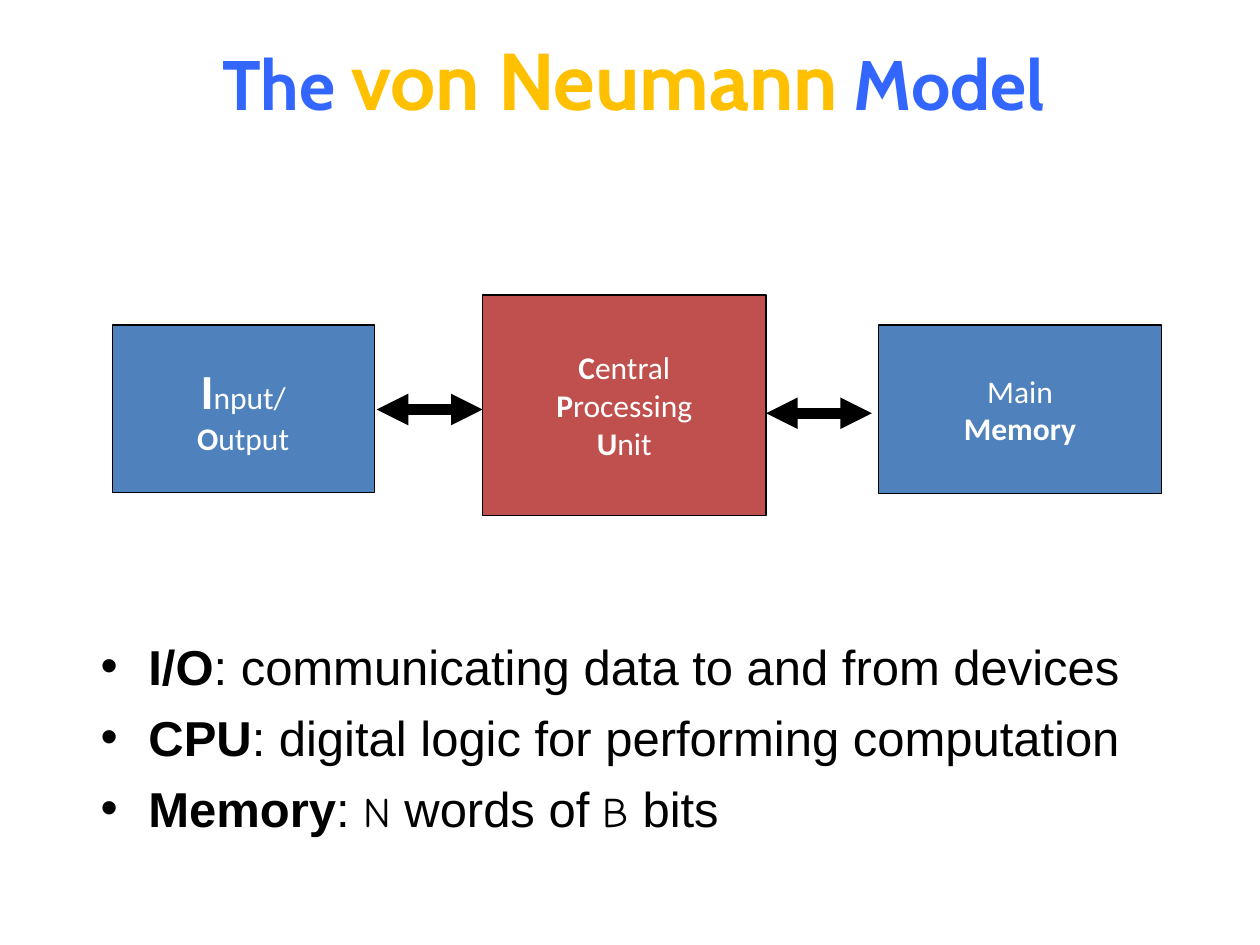
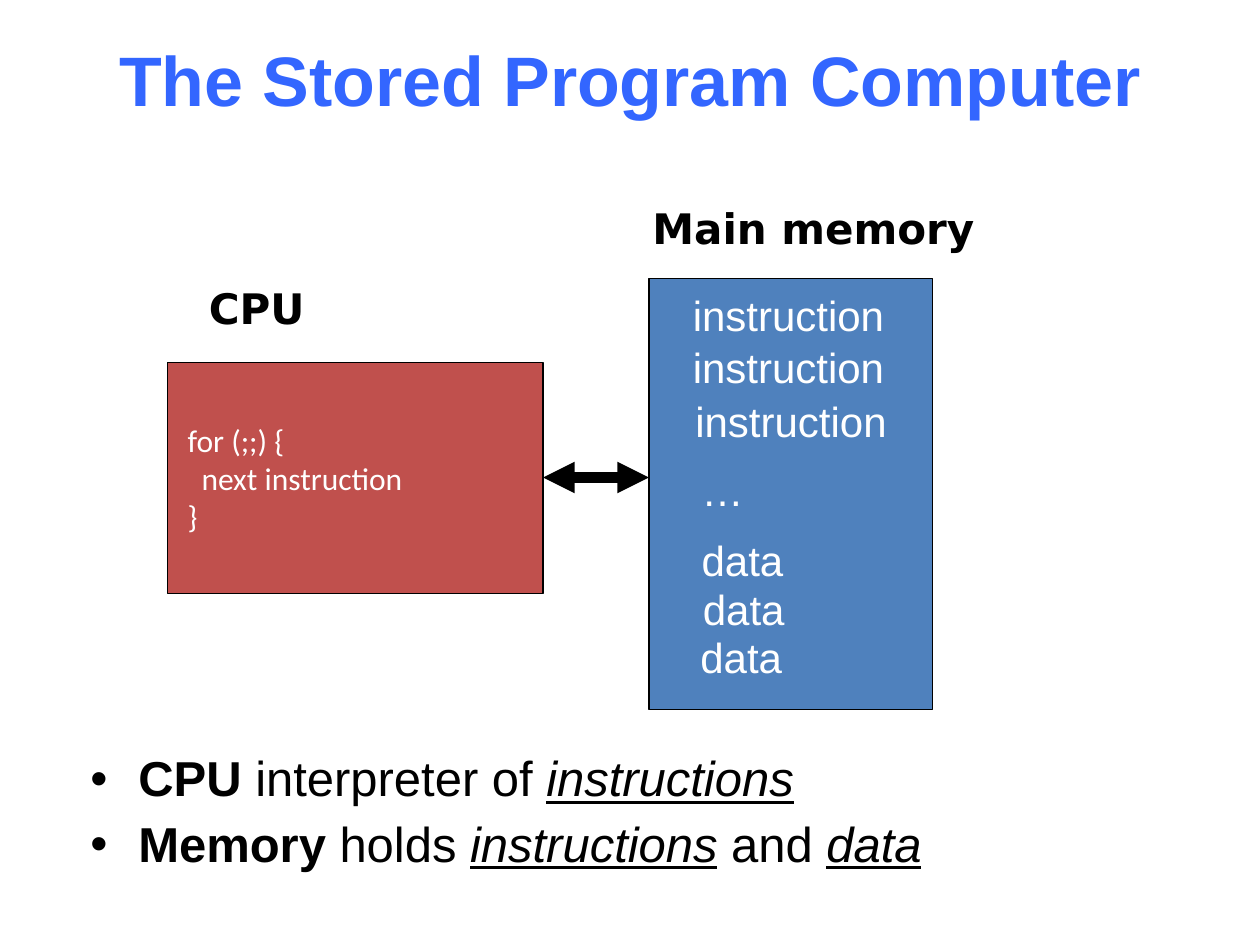
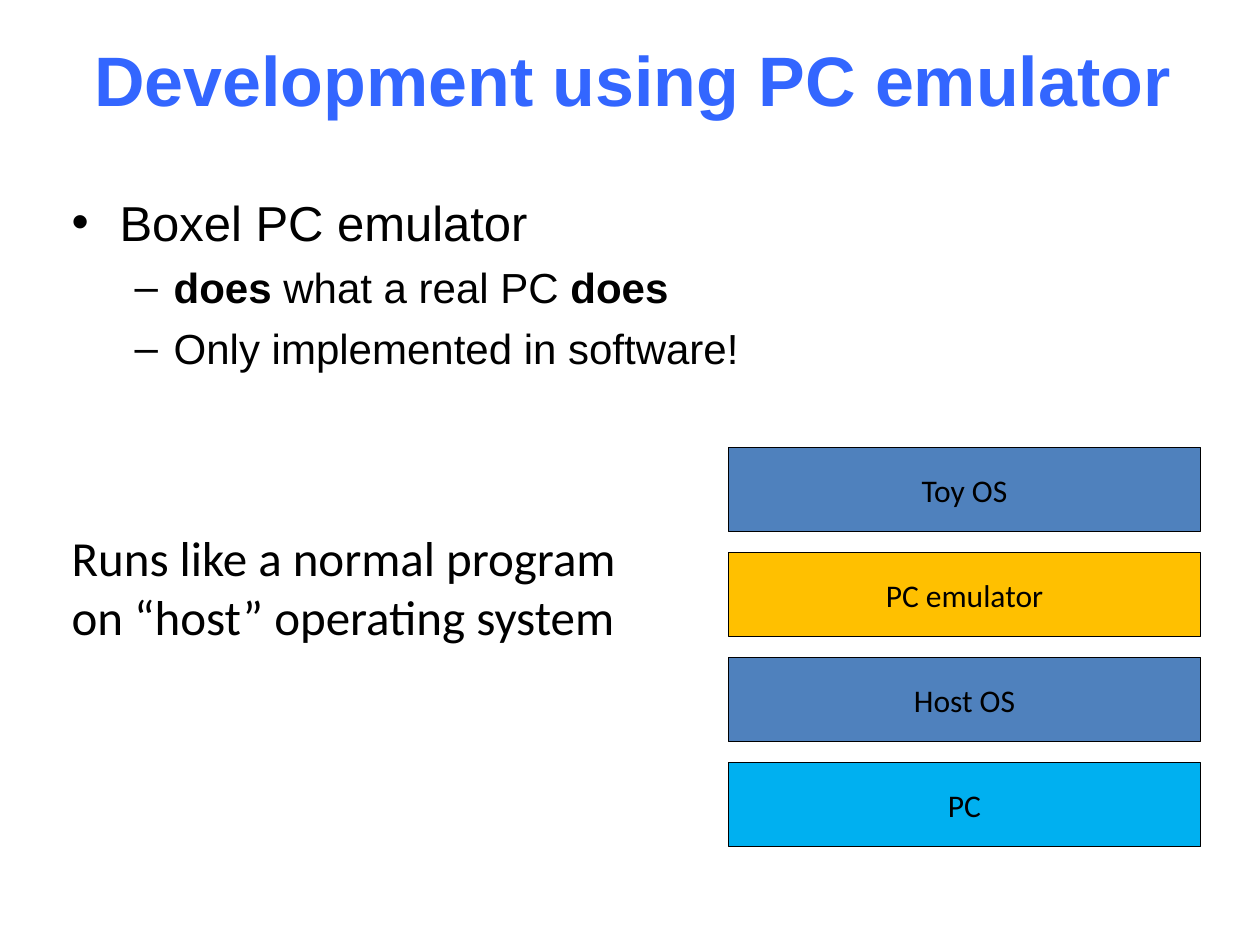
from dataclasses import dataclass

from lxml.etree import SubElement
from pptx import Presentation
from pptx.dml.color import RGBColor
from pptx.enum.shapes import MSO_CONNECTOR, MSO_SHAPE
from pptx.enum.text import MSO_ANCHOR, PP_ALIGN
from pptx.oxml.ns import qn
from pptx.util import Inches, Pt


@dataclass(frozen=True)
class Theme:
    title_blue: str = "3366FF"
    gold: str = "FFC000"
    red: str = "C0504D"
    blue: str = "4F81BD"
    cyan: str = "00B0F0"
    black: str = "000000"
    white: str = "FFFFFF"
    body_font: str = "Arial"
    box_font: str = "Calibri"
    title_font: str = "Cabin"
    symbol_font: str = "Comic Neue"
    label_font: str = "DejaVu Sans"
    title_size: int = 40
    accent_size: int = 46
    body_size: int = 28
    label_size: int = 24
    box_size: int = 18
    outline: float = 0.75
    arrow: float = 6


THEME = Theme()


@dataclass(frozen=True)
class Span:
    """Text with only the settings that differ from its surroundings."""
    text: str
    size: int = None
    font: str = None
    color: str = None
    bold: bool = None
    italic: bool = None
    underline: bool = None


def bold(text, **settings):
    return Span(text, bold=True, **settings)


def term(text):
    return Span(text, italic=True, underline=True)


def symbol(text):
    return Span(text, size=THEME.label_size, font=THEME.symbol_font)


class Deck:
    # level: bullet, left margin, hanging indent, type size
    LEVELS = (("•", 0.38, -0.38, THEME.body_size),
              ("–", 0.81, -0.31, THEME.label_size))

    def __init__(self):
        self.presentation = Presentation()
        self.presentation.slide_width = Inches(10)
        self.presentation.slide_height = Inches(7.5)
        self.slide = None

    def new_slide(self):
        self.slide = self.presentation.slides.add_slide(
            self.presentation.slide_layouts[6])

    def add_spans(self, paragraph, spans, size, font, color, heavy=False):
        """Fill a paragraph from a string or a list of strings and Spans."""
        for part in [spans] if isinstance(spans, str) else spans:
            span = Span(part) if isinstance(part, str) else part
            run = paragraph.add_run()
            run.text = span.text
            run.font.size = Pt(span.size or size)
            run.font.name = span.font or font
            run.font.color.rgb = RGBColor.from_string(span.color or color)
            run.font.bold = heavy if span.bold is None else span.bold
            run.font.italic = span.italic
            run.font.underline = span.underline

    def fill_lines(self, frame, lines, *style, align=PP_ALIGN.LEFT, **options):
        for number, spans in enumerate(lines):
            paragraph = frame.add_paragraph() if number else frame.paragraphs[0]
            paragraph.alignment = align
            self.add_spans(paragraph, spans, *style, **options)

    def text(self, at, lines, size, font, color, heavy=False, wrap=True,
             align=PP_ALIGN.LEFT, anchor=MSO_ANCHOR.TOP):
        frame = self.slide.shapes.add_textbox(*map(Inches, at)).text_frame
        frame.word_wrap = wrap
        frame.vertical_anchor = anchor
        self.fill_lines(frame, lines, size, font, color, heavy=heavy, align=align)
        return frame

    def title(self, spans, left, width, font=THEME.body_font):
        self.text((left, 0, width, 1.25), [spans], THEME.title_size, font,
                  THEME.title_blue, heavy=True, align=PP_ALIGN.CENTER,
                  anchor=MSO_ANCHOR.MIDDLE)

    def label(self, at, text, font=THEME.body_font, color=THEME.white, heavy=False):
        self.text(at, [text], THEME.label_size, font, color, heavy, wrap=False)

    def bullets(self, at, items, line_spacing=1.0):
        """Items are (level, spans) pairs."""
        frame = self.text(at, [], THEME.body_size, THEME.body_font, THEME.black)
        for number, (level, spans) in enumerate(items):
            mark, margin, hanging, size = self.LEVELS[level]
            paragraph = frame.add_paragraph() if number else frame.paragraphs[0]
            paragraph.level = level
            paragraph.line_spacing = line_spacing
            paragraph.space_before = Pt(size / 4)
            properties = paragraph._p.get_or_add_pPr()
            properties.set("marL", str(Inches(margin)))
            properties.set("indent", str(Inches(hanging)))
            SubElement(properties, qn("a:buFont"), typeface=THEME.body_font)
            SubElement(properties, qn("a:buChar"), char=mark)
            self.add_spans(paragraph, spans, size, THEME.body_font, THEME.black)

    def box(self, at, fill, lines=(), color=THEME.white, align=PP_ALIGN.CENTER):
        shape = self.slide.shapes.add_shape(MSO_SHAPE.RECTANGLE, *map(Inches, at))
        shape.shadow.inherit = False
        shape.fill.solid()
        shape.fill.fore_color.rgb = RGBColor.from_string(fill)
        shape.line.color.rgb = RGBColor.from_string(THEME.black)
        shape.line.width = Pt(THEME.outline)
        frame = shape.text_frame
        frame.word_wrap = True
        frame.vertical_anchor = MSO_ANCHOR.MIDDLE
        self.fill_lines(frame, lines, THEME.box_size, THEME.box_font, color,
                        align=align)
        return frame

    def double_arrow(self, left, y, length=0.84):
        arrow = self.slide.shapes.add_connector(
            MSO_CONNECTOR.STRAIGHT, Inches(left), Inches(y),
            Inches(left + length), Inches(y))
        arrow.line.color.rgb = RGBColor.from_string(THEME.black)
        arrow.line.width = Pt(THEME.arrow)
        outline = arrow._element.spPr.find(qn("a:ln"))
        for end in ("a:headEnd", "a:tailEnd"):
            SubElement(outline, qn(end), type="triangle")
        SubElement(arrow._element.spPr, qn("a:effectLst"))


def von_neumann_slide(deck):
    deck.new_slide()
    deck.title(["The ", Span("von Neumann", size=THEME.accent_size, color=THEME.gold),
                " Model"], 0.78, 8.5, THEME.title_font)
    deck.bullets((0.7, 5, 8.67, 2.08), [
        (0, [bold("I/O"), ": communicating data to and from devices"]),
        (0, [bold("CPU"), ": digital logic for performing computation"]),
        (0, [bold("Memory"), ": ", symbol("N"), " words of ", symbol("B"), " bits"]),
    ])
    deck.box((3.83, 2.34, 2.25, 1.75), THEME.red, [
        [bold("C"), "entral"], [bold("P"), "rocessing"], [bold("U"), "nit"]])
    deck.box((0.89, 2.58, 2.08, 1.33), THEME.blue, [
        [bold("I", size=THEME.body_size), "nput/"], [bold("O"), "utput"]])
    deck.box((6.97, 2.58, 2.25, 1.34), THEME.blue, ["Main", [bold("Memory")]])
    deck.double_arrow(6.08, 3.28)
    deck.double_arrow(2.99, 3.25)


def stored_program_slide(deck):
    deck.new_slide()
    deck.title("The Stored Program Computer", 0, 10)
    deck.bullets((0.62, 5.94, 8.5, 1.17), [
        (0, [bold("CPU"), " interpreter of ", term("instructions")]),
        (0, [bold("Memory"), " holds ", term("instructions"), " and ", term("data")]),
    ], line_spacing=0.9)

    loop = deck.box((1.33, 2.88, 2.98, 1.83), THEME.red,
                    ["for (;;) {", "next instruction", "}"], align=PP_ALIGN.LEFT)
    loop.margin_left = Inches(0.16)
    loop.paragraphs[1]._p.get_or_add_pPr().set("marL", str(Inches(0.11)))
    deck.box((5.15, 2.21, 2.25, 3.42), THEME.blue)
    deck.double_arrow(4.31, 3.79)

    for left, top in ((5.4, 2.25), (5.4, 2.66), (5.42, 3.09)):
        deck.label((left, top, 1.72, 0.5), "instruction")
    deck.label((5.47, 3.64, 0.54, 0.51), "…")
    for left, top in ((5.47, 4.19), (5.48, 4.58), (5.46, 4.96)):
        deck.label((left, top, 0.85, 0.5), "data")
    for at, heading in (((1.56, 2.19, 0.97, 0.51), "CPU"),
                        ((5.08, 1.56, 2.77, 0.51), "Main memory")):
        deck.label(at, heading, THEME.label_font, THEME.black, heavy=True)


def emulator_slide(deck):
    deck.new_slide()
    deck.title("Development using PC emulator", 0.23, 9.58)
    deck.bullets((0.47, 1.48, 6.95, 4.5), [
        (0, "Boxel PC emulator"),
        (1, [bold("does"), " what a real PC ", bold("does")]),
        (1, "Only implemented in software!"),
    ])
    layers = (("Toy OS", THEME.blue), ("PC emulator", THEME.gold),
              ("Host OS", THEME.blue), ("PC", THEME.cyan))
    for row, (layer, fill) in enumerate(layers):
        deck.box((5.78, 3.55 + row * 2.5 / 3, 3.75, 0.67), fill, [layer], THEME.black)
    deck.text((0.47, 4.14, 5, 1.04),
              ["Runs like a normal program on “host” operating system"],
              THEME.body_size, THEME.box_font, THEME.black)


def main():
    deck = Deck()
    von_neumann_slide(deck)
    stored_program_slide(deck)
    emulator_slide(deck)
    deck.presentation.save("out.pptx")


if __name__ == "__main__":
    main()
